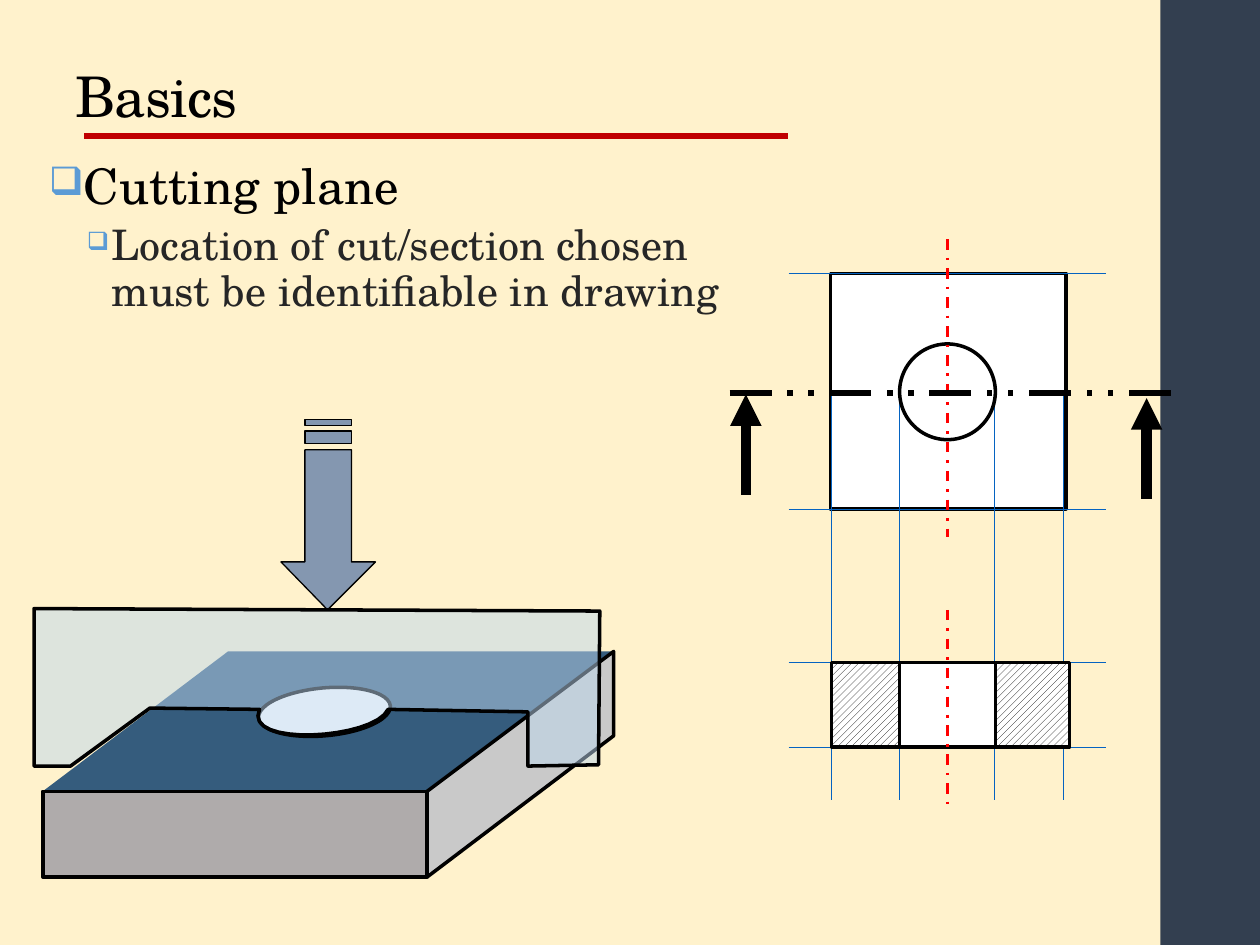
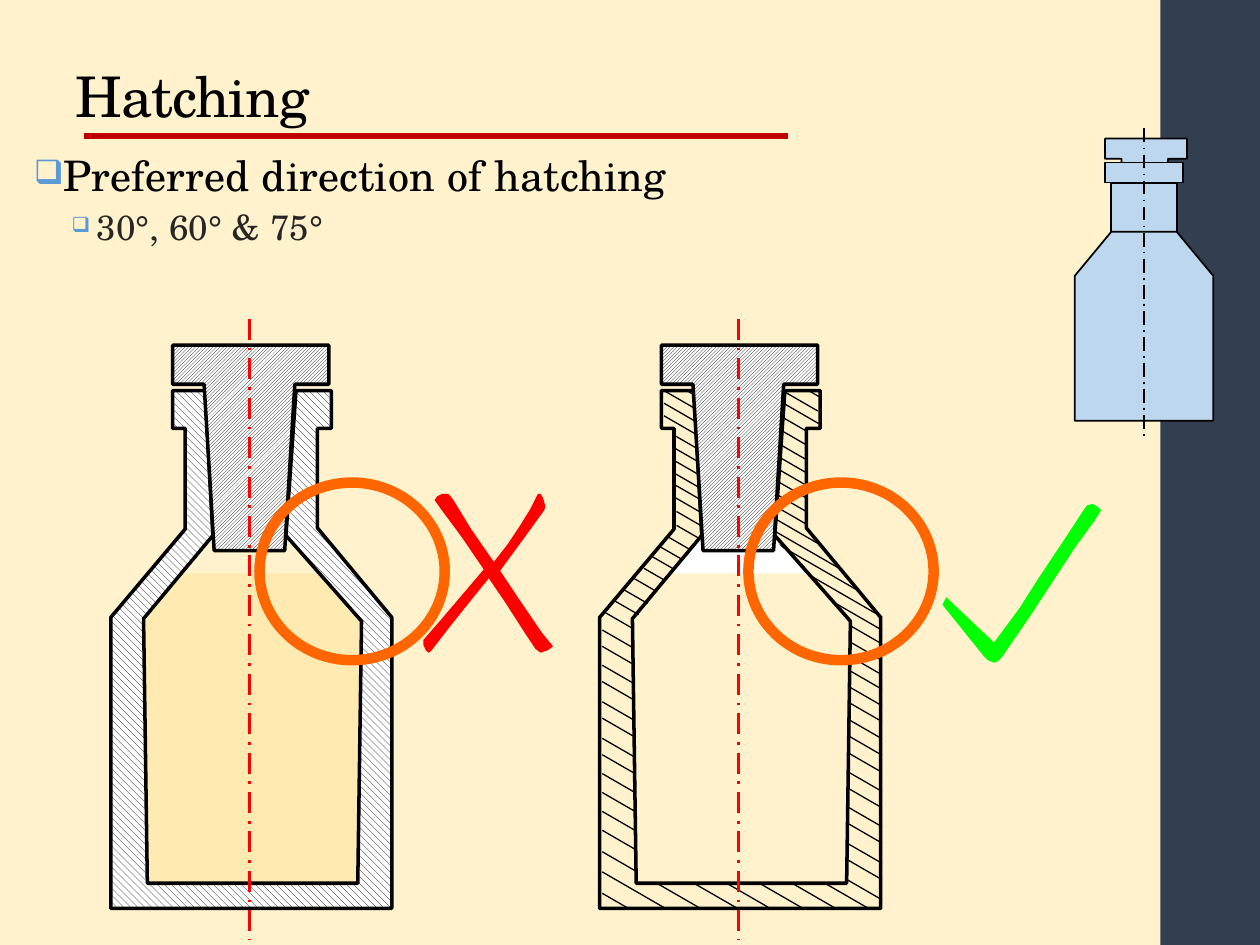
from math import radians, tan
from lxml import etree
from pptx import Presentation
from pptx.dml.color import RGBColor
from pptx.enum.dml import MSO_LINE, MSO_PATTERN
from pptx.enum.shapes import MSO_CONNECTOR, MSO_SHAPE
from pptx.enum.text import MSO_ANCHOR
from pptx.oxml.ns import qn
from pptx.util import Inches, Pt

FONT = "TeX Gyre Schola"
CREAM = RGBColor(0xFF, 0xF2, 0xCC)
NAVY = RGBColor(0x33, 0x3F, 0x50)
CRIMSON = RGBColor(0xC0, 0x00, 0x00)
BLACK = RGBColor(0, 0, 0)
WHITE = RGBColor(0xFF, 0xFF, 0xFF)
CHARCOAL = RGBColor(0x26, 0x26, 0x26)
RED = RGBColor(0xFF, 0, 0)
GREEN = RGBColor(0, 0xFF, 0)
ORANGE = RGBColor(0xFF, 0x66, 0)
PROJECTION_BLUE = RGBColor(0x05, 0x63, 0xC1)
PALE_BLUE = RGBColor(0xBD, 0xD7, 0xEE)
STEEL = RGBColor(0x84, 0x97, 0xB0)
TOP_BLUE = RGBColor(0x35, 0x5C, 0x7D)
FRONT_GREY = RGBColor(0xAF, 0xAB, 0xAB)
SIDE_GREY = RGBColor(0xC9, 0xC9, 0xC9)
LIQUID = RGBColor(0xFF, 0xE6, 0x99)
BULLET = "5B9BD5"

# Per level: left margin, first-line indent, line spacing, before, after, bullet %, colour, tracking
LEVELS = [
    (0.2, -0.2, 0.95, 14, 2, 80, BLACK, 10),
    (0.5, -0.2, 0.9, 3, 3, 60, CHARCOAL, 0),
]

BASICS = {
    "title": "Basics",
    "box": (0.29, 1.22, 5.59, 1.53),
    "body": [("Cutting plane", 28),
             ("Location of cut/section chosen must be identifiable in drawing", 24)],
}
HATCHING = {
    "title": "Hatching",
    "box": (0.17, 1.17, 9.42, 2.18),
    "body": [("Preferred direction of hatching", 24), ("30°, 60° & 75°", 20)],
}

# Block with a cutting plane
BLOCK_TOP = [(0.34, 6.28), (1.81, 5.17), (4.87, 5.17), (3.39, 6.28)]
BLOCK_SIDE = [(3.39, 6.28), (3.39, 6.96), (4.87, 5.84), (4.87, 5.17)]
HOLE_EDGE = [(2.06, 5.63), (1.92, 5.93), (2.97, 5.87), (3.08, 5.63)]
PLANE_REST = [(4.19, 5.65), (4.19, 6.08), (4.75, 6.07), (4.76, 4.85), (0.27, 4.83),
              (0.27, 6.08), (0.56, 6.08), (1.19, 5.62)]
CUT_ARROW = [(2.98, 4.46), (2.79, 4.46), (2.79, 3.57), (2.42, 3.57), (2.42, 4.46),
             (2.23, 4.46), (2.6, 4.84)]
ARROW_BARS = [(3.42, 3.52), (3.33, 3.38)]
VIEW_X = (6.6, 7.14, 7.89, 8.44)
SECTION_Y = (5.26, 5.93)
PLAN_Y = (2.17, 4.04)

# Sectioned bottle
BOTTLE_GAP = 3.88
GLASS = [(3.11, 7.21), (0.88, 7.21), (0.88, 4.9), (1.47, 4.2), (1.47, 3.4), (1.37, 3.4),
         (1.37, 3.1), (1.63, 3.1), (1.69, 4.25), (1.14, 4.91), (1.17, 7.01), (2.84, 7.01),
         (2.87, 4.93), (2.27, 4.25), (2.35, 3.1), (2.63, 3.1), (2.63, 3.4), (2.52, 3.4),
         (2.52, 4.19), (3.11, 4.9)]
STOPPER = [(1.37, 2.74), (1.37, 3.05), (1.62, 3.05), (1.7, 4.37), (2.26, 4.37),
           (2.34, 3.05), (2.61, 3.05), (2.61, 2.74)]
CONTENTS = [(1.17, 7.01), (1.15, 4.93), (1.45, 4.55), (2.54, 4.55), (2.87, 4.93), (2.84, 7.01)]
AIR = [(1.68, 4.25), (2.24, 4.25), (2.55, 4.59), (1.41, 4.59)]

# Hatch lines at 30 degrees: start x, start y, end x
HATCH_ANGLE = 30
HATCH = [
    (5.45, 3.1, 6.4), (5.27, 3.1, 6.4), (5.27, 3.2, 6.4), (5.27, 3.3, 6.4), (5.36, 3.46, 6.4),
    (5.36, 3.56, 6.4), (5.36, 3.66, 6.5), (5.36, 3.76, 6.66), (5.36, 3.85, 6.81),
    (5.36, 3.95, 7), (5.37, 4.06, 7), (5.37, 4.17, 7), (5.3, 4.26, 7), (5.24, 4.34, 7),
    (5.18, 4.42, 7), (5.11, 4.51, 7), (5.03, 4.59, 7), (4.95, 4.68, 7), (4.88, 4.77, 7),
    (4.8, 4.86, 7), (4.78, 5, 7), (4.78, 5.13, 7), (4.78, 5.28, 7), (4.78, 5.41, 7),
    (4.78, 5.57, 7), (4.78, 5.7, 7), (4.78, 5.86, 7), (4.78, 5.99, 6.89), (4.78, 6.14, 6.64),
    (4.78, 6.29, 6.38), (4.78, 6.44, 6.13), (4.78, 6.59, 5.84), (4.78, 6.76, 5.55),
    (4.78, 6.92, 5.28), (4.78, 7.09, 5), (6.19, 3.41, 6.39), (6.19, 3.3, 6.39),
    (6.2, 3.19, 6.51), (6.21, 3.1, 6.49), (6.4, 3.09, 6.5),
]

# Whole bottle in the corner
MINI_STOPPER = [(8.77, 1.1), (8.77, 1.26), (8.9, 1.26), (8.94, 1.95), (9.23, 1.95),
                (9.27, 1.26), (9.42, 1.26), (9.42, 1.1)]
MINI_BODY = [(8.53, 2.19), (8.82, 1.84), (9.34, 1.84), (9.63, 2.19), (9.63, 3.34), (8.53, 3.34)]
MINI_NECK = [(8.77, 1.29, 0.62, 0.16), (8.82, 1.45, 0.52, 0.4)]

CROSS = [
    (3.88, 4.59), (3.59, 4.95), (3.42, 5.17), (3.4, 5.18), (3.38, 5.16), (3.36, 5.12),
    (3.36, 5.08), (3.5, 4.92), (3.84, 4.52), (3.67, 4.27), (3.5, 4.04), (3.45, 3.97),
    (3.47, 3.94), (3.51, 3.92), (3.56, 3.92), (3.6, 3.97), (3.74, 4.2), (3.92, 4.46),
    (4.03, 4.32), (4.13, 4.17), (4.21, 4.04), (4.27, 3.92), (4.29, 3.92), (4.31, 3.95),
    (4.33, 4.02), (4.32, 4.05), (4.19, 4.23), (3.97, 4.53), (4.11, 4.74), (4.3, 5.02),
    (4.39, 5.13), (4.35, 5.16), (4.29, 5.18), (4.25, 5.15), (4.17, 5.03), (4.01, 4.78),
]
TICK = [
    (8.23, 4.61), (8.09, 4.83), (7.89, 5.1), (7.51, 4.74), (7.48, 4.8), (7.81, 5.21),
    (7.84, 5.24), (7.89, 5.26), (7.92, 5.25), (7.95, 5.22), (8.19, 4.87), (8.36, 4.61),
    (8.53, 4.35), (8.69, 4.13), (8.74, 4.05), (8.71, 4.02), (8.67, 4), (8.63, 4.01),
    (8.6, 4.05), (8.45, 4.28), (8.27, 4.55),
]


def paint(shape, fill=None, line=None, width=2, alpha=None):
    """Fill with a colour, a pattern or nothing, and outline when a line colour is given."""
    shape.shadow.inherit = False
    if fill is None:
        shape.fill.background()
    elif isinstance(fill, RGBColor):
        shape.fill.solid()
        shape.fill.fore_color.rgb = fill
    else:
        shape.fill.patterned()
        shape.fill.pattern = fill
        shape.fill.fore_color.rgb = BLACK
        shape.fill.back_color.rgb = WHITE
    if alpha is not None:
        color = shape._element.spPr.find(".//" + qn("a:srgbClr"))
        etree.SubElement(color, qn("a:alpha")).set("val", str(alpha * 1000))
    if line is None:
        shape.line.fill.background()
    else:
        shape.line.color.rgb = line
        shape.line.width = Pt(width)
    return shape


def box(shapes, at, kind=MSO_SHAPE.RECTANGLE, **style):
    return paint(shapes.add_shape(kind, *map(Inches, at)), **style)


def outline(shapes, *contours, dx=0, **style):
    """Draw closed polygons as one shape, moved right by dx."""
    builder = None
    for contour in contours:
        pts = [(Inches(x + dx), Inches(y)) for x, y in contour]
        if builder is None:
            builder = shapes.build_freeform(*pts[0])
        else:
            builder.move_to(*pts[0])
        builder.add_line_segments(pts[1:], close=True)
    return paint(builder.convert_to_shape(), **style)


def line(shapes, x1, y1, x2, y2, color=BLACK, width=0.75, dash=None, arrow=False):
    c = shapes.add_connector(MSO_CONNECTOR.STRAIGHT, *map(Inches, (x1, y1, x2, y2)))
    c.line.color.rgb = color
    c.line.width = Pt(width)
    if dash:
        c.line.dash_style = dash
    spPr = c._element.spPr
    if arrow:
        etree.SubElement(spPr.find(qn("a:ln")), qn("a:headEnd")).set("type", "triangle")
    etree.SubElement(spPr, qn("a:effectLst"))


def write(p, text, size, color, tracking):
    p.text = text
    r = p.runs[0]
    r.font.name, r.font.size = FONT, Pt(size)
    r.font.color.rgb = color
    r._r.get_or_add_rPr().set("spc", str(tracking))


def text_frame(s, at):
    tf = s.shapes.add_textbox(*map(Inches, at)).text_frame
    tf.word_wrap = True
    return tf


def add_slide(prs, content):
    """Add a slide with its background, side band, title, title rule and bullets."""
    s = prs.slides.add_slide(prs.slide_layouts[6])
    s.background.fill.solid()
    s.background.fill.fore_color.rgb = CREAM
    box(s.shapes, (9.21, 0, 0.79, 7.5), fill=NAVY)
    line(s.shapes, 0.67, 1.08, 6.25, 1.08, CRIMSON, 3)
    tf = text_frame(s, (0.5, 0.08, 7.95, 1))
    tf.vertical_anchor = MSO_ANCHOR.BOTTOM
    tf.paragraphs[0].line_spacing = 0.9
    write(tf.paragraphs[0], content["title"], 32, BLACK, -50)

    tf = text_frame(s, content["box"])
    for i, (text, size) in enumerate(content["body"]):
        left, indent, spacing, before, after, percent, color, tracking = LEVELS[i]
        p = tf.add_paragraph() if i else tf.paragraphs[0]
        p.level = i
        p.line_spacing = spacing
        p.space_before = Pt(before if i else 0)
        p.space_after = Pt(after)
        pPr = p._p.get_or_add_pPr()
        pPr.set("marL", str(Inches(left)))
        pPr.set("indent", str(Inches(indent)))
        bullet_color = etree.SubElement(pPr, qn("a:buClr"))
        etree.SubElement(bullet_color, qn("a:srgbClr")).set("val", BULLET)
        etree.SubElement(pPr, qn("a:buSzPct")).set("val", str(percent * 1000))
        etree.SubElement(pPr, qn("a:buChar")).set("char", "❑")
        write(p, text, size, color, tracking)
    return s


def bezier(a, b, c, d, steps=16):
    def at(t, i):
        u = 1 - t
        return u**3 * a[i] + 3 * u * u * t * b[i] + 3 * u * t * t * c[i] + t**3 * d[i]
    return [(at(k / steps, 0), at(k / steps, 1)) for k in range(steps + 1)]


def draw_block(sh):
    outline(sh, BLOCK_TOP, fill=TOP_BLUE)
    hole = box(sh, (2.05, 5.46, 1.05, 0.38), MSO_SHAPE.OVAL, fill=WHITE, line=BLACK)
    hole.rotation = 354.8
    bars = [[(2.79, y1), (2.42, y1), (2.42, y2), (2.79, y2)] for y1, y2 in ARROW_BARS]
    outline(sh, CUT_ARROW, *bars, fill=STEEL, line=BLACK, width=0.75)
    box(sh, (0.34, 6.28, 3.05, 0.68), fill=FRONT_GREY, line=BLACK)
    outline(sh, BLOCK_SIDE, fill=SIDE_GREY, line=BLACK)
    outline(sh, bezier(*HOLE_EDGE) + PLANE_REST, fill=PALE_BLUE, line=BLACK, alpha=50)


def draw_views(sh):
    """Plan view above its hatched section, joined by projection lines."""
    box(sh, (6.59, 2.17, 1.87, 1.87), fill=WHITE, line=BLACK)
    for y in PLAN_Y + SECTION_Y:
        line(sh, 6.26, y, 8.78, y, PROJECTION_BLUE, 0.5)
    for x in VIEW_X:
        line(sh, x, 3.12, x, 6.35, PROJECTION_BLUE, 0.5)
    box(sh, (6.6, 5.26, 1.89, 0.67), fill=MSO_PATTERN.WIDE_UPWARD_DIAGONAL, line=BLACK)
    box(sh, (7.14, 5.26, 0.76, 0.67), fill=WHITE, line=BLACK)
    box(sh, (7.14, 2.73, 0.76, 0.76), MSO_SHAPE.OVAL, fill=WHITE, line=BLACK)
    for top, bottom in ((4.84, 6.44), (1.9, 4.26)):
        line(sh, 7.52, top, 7.52, bottom, RED, 1.5, MSO_LINE.DASH_DOT)
    line(sh, 5.79, 3.12, 9.34, 3.12, BLACK, 3, MSO_LINE.DASH_DOT_DOT)
    for x, y in ((5.92, 3.13), (9.1, 3.16)):
        line(sh, x, y, x, y + 0.8, BLACK, 6, arrow=True)


def draw_bottle(sh, dx, glass_fill):
    """Glass, stopper, centre line and the ring marking the hatching."""
    outline(sh, GLASS, dx=dx, fill=glass_fill, line=BLACK)
    outline(sh, STOPPER, dx=dx, fill=MSO_PATTERN.LIGHT_UPWARD_DIAGONAL, line=BLACK)
    line(sh, 1.98 + dx, 2.53, 1.98 + dx, 7.46, RED, 1.5, MSO_LINE.LONG_DASH_DOT)
    box(sh, (2.06 + dx, 3.83, 1.47, 1.41), MSO_SHAPE.OVAL, line=ORANGE, width=6)


def draw_mini_bottle(sh):
    style = dict(fill=PALE_BLUE, line=BLACK, width=1)
    outline(sh, MINI_STOPPER, **style)
    for at in MINI_NECK:
        box(sh, at, **style)
    outline(sh, MINI_BODY, **style)
    line(sh, 9.08, 1.02, 9.08, 3.46, BLACK, 1, MSO_LINE.LONG_DASH_DOT)


def main():
    prs = Presentation()
    prs.slide_width, prs.slide_height = Inches(10), Inches(7.5)

    s = add_slide(prs, BASICS)
    draw_block(s.shapes)
    draw_views(s.shapes)

    s = add_slide(prs, HATCHING)
    sh = s.shapes
    draw_mini_bottle(sh.add_group_shape().shapes)
    outline(sh, CONTENTS, fill=LIQUID, alpha=50)
    draw_bottle(sh, 0, MSO_PATTERN.WIDE_DOWNWARD_DIAGONAL)
    for x1, y1, x2 in HATCH:
        line(sh, x1, y1, x2, y1 + (x2 - x1) * tan(radians(HATCH_ANGLE)))
    outline(sh, AIR, dx=BOTTLE_GAP, fill=WHITE)
    outline(sh, CONTENTS, dx=BOTTLE_GAP, fill=CREAM)
    draw_bottle(sh, BOTTLE_GAP, None)
    outline(sh, CROSS, fill=RED)
    outline(sh, TICK, fill=GREEN)

    prs.save("out.pptx")


if __name__ == "__main__":
    main()
